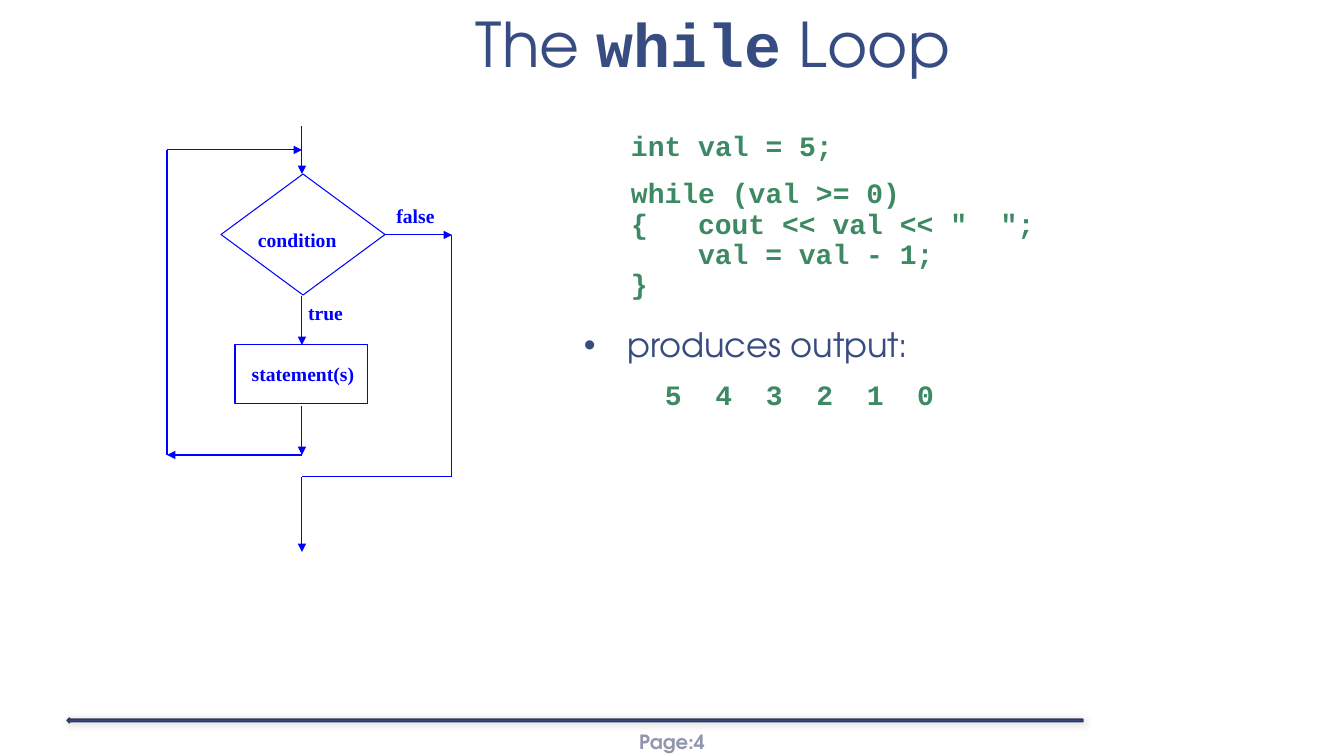
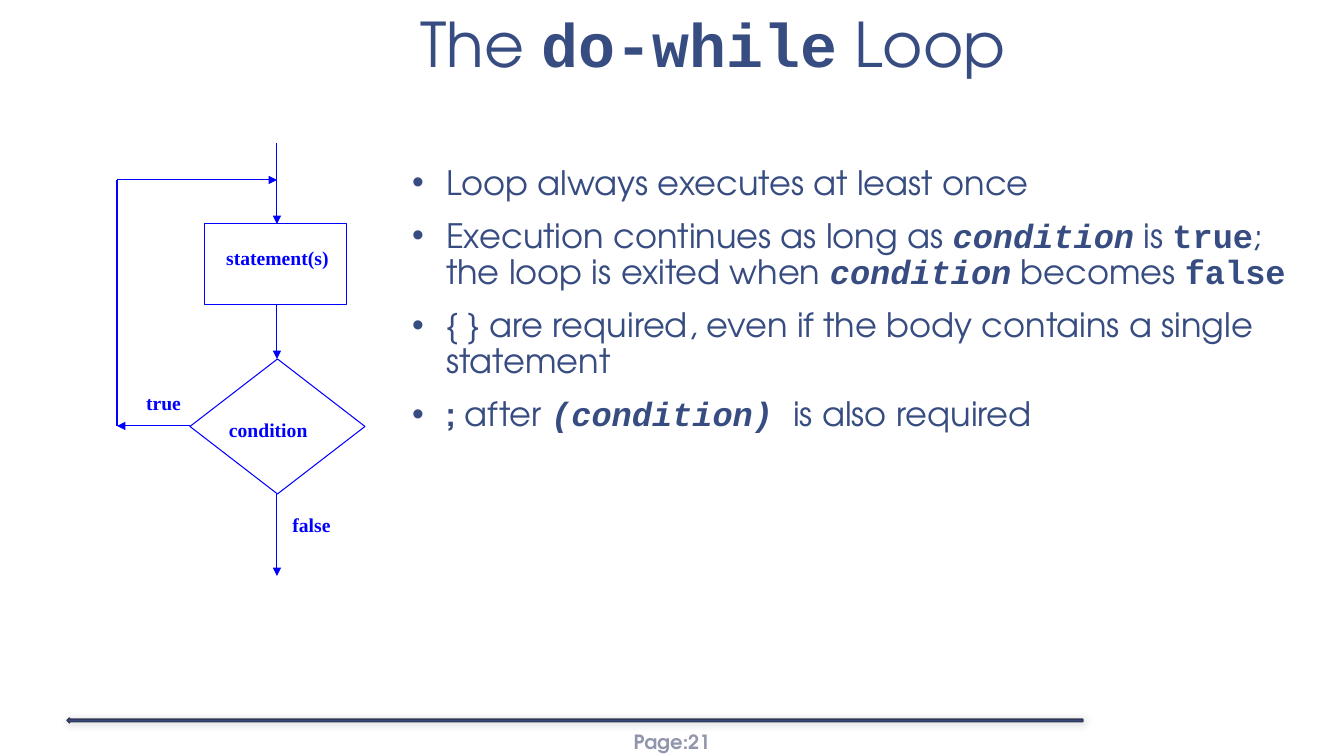
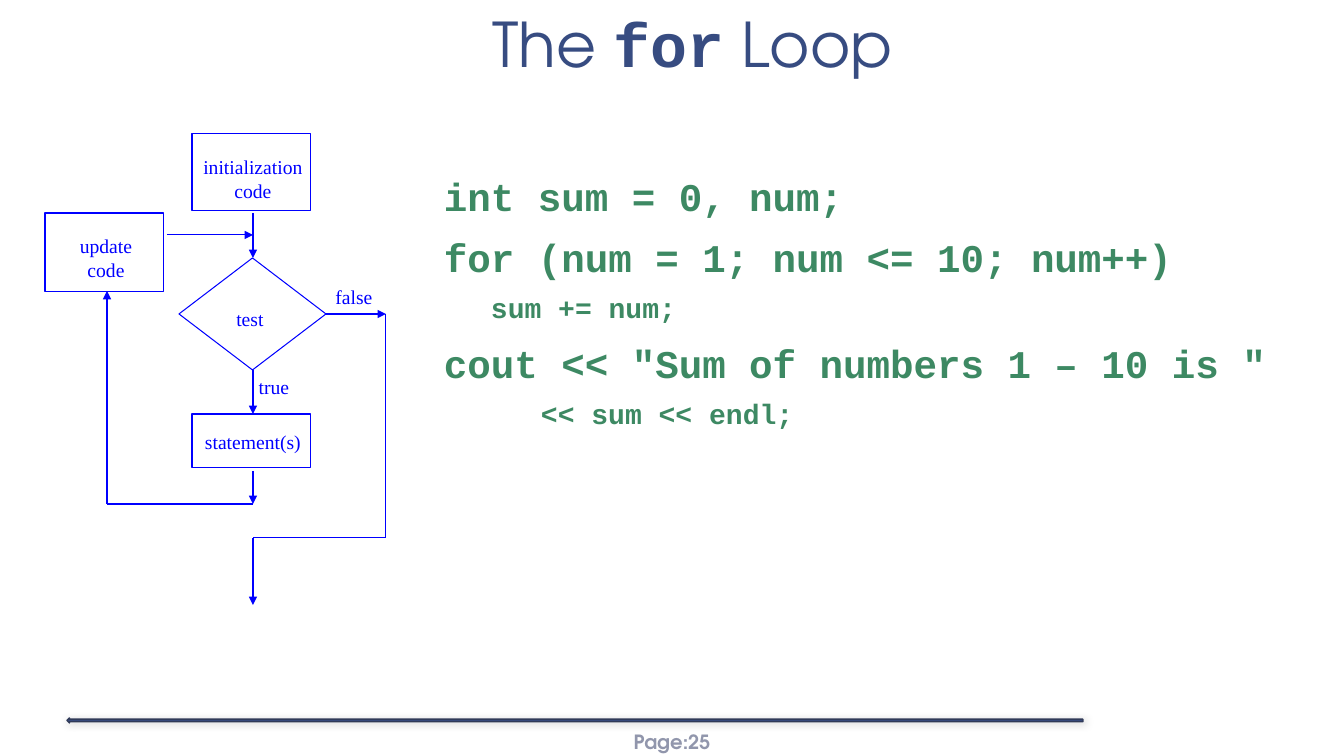
from dataclasses import dataclass

from lxml import etree
from pptx import Presentation
from pptx.dml.color import RGBColor
from pptx.enum.shapes import MSO_CONNECTOR, MSO_SHAPE
from pptx.enum.text import MSO_ANCHOR, PP_ALIGN
from pptx.oxml.ns import qn
from pptx.util import Pt

SCALE = 914400 / 100.8
WIDE, HIGH = 1344, 756
LINE = MSO_CONNECTOR.STRAIGHT
RECT, TEST, BAR = MSO_SHAPE.RECTANGLE, MSO_SHAPE.FLOWCHART_DECISION, MSO_SHAPE.LEFT_ARROW
LEFT, MID = PP_ALIGN.LEFT, PP_ALIGN.CENTER
TOP, CENTER, BOTTOM = MSO_ANCHOR.TOP, MSO_ANCHOR.MIDDLE, MSO_ANCHOR.BOTTOM

COLORS = {"navy": "374C81", "edge": "303A58", "page": "9196AC",
          "blue": "0000FF", "code": "3D8963", "shade": "000000"}
SANS, MONO, SERIF = "TeX Gyre Adventor", "Courier New", "Times New Roman"
# font, colour, bold, italic
STYLES = {"plain": (SANS, "navy", False, False),
          "strong": (SANS, "navy", True, False),
          "word": (MONO, "navy", True, False),
          "term": (MONO, "navy", True, True),
          "code": (MONO, "code", True, False),
          "page": (SANS, "page", True, False),
          "label": (SERIF, "blue", False, False),
          "bold": (SERIF, "blue", True, False)}


@dataclass
class Para:
    """One paragraph; left and first are indents in px, before is in points."""
    runs: list
    size: int
    align: object = LEFT
    left: int = 0
    first: int = 0
    space: float = 1.0
    before: float = 0
    dot: bool = False


def px(n):
    return round(n * SCALE)


def rgb(name):
    return RGBColor.from_string(COLORS[name])


def code(text, size=20, left=47, first=0, space=0.95, before=10.7):
    return Para([(text, "code")], size, LEFT, left, first, space, before)


def item(runs, space=0.9, before=12):
    return Para(runs, 24, LEFT, 34, -34, space, before, True)


class Deck:
    def __init__(self):
        self.prs = Presentation()
        self.prs.slide_width, self.prs.slide_height = px(WIDE), px(HIGH)
        self.slide = None

    def start(self, word, page, left=41):
        """Open a slide with its title, bottom bar and page number."""
        self.slide = self.prs.slides.add_slide(self.prs.slide_layouts[6])
        self.text((583, 722, 178, 40), [Para([(f"Page:{page}", "page")], 14, MID)],
                  CENTER, (4, 2))
        self.bar()
        runs = [("The ", "plain"), (word, "word"), (" Loop", "plain")]
        self.text((left, 0, 1385 - left, 87), [Para(runs, 44, MID, space=0.85)],
                  BOTTOM, (13, 7))

    def text(self, box, paras, anchor=TOP, inset=(10, 5)):
        frame = self.slide.shapes.add_textbox(*map(px, box)).text_frame
        frame.word_wrap = True
        frame.vertical_anchor = anchor
        frame.margin_left = frame.margin_right = px(inset[0])
        frame.margin_top = frame.margin_bottom = px(inset[1])
        for i, para in enumerate(paras):
            self.fill(frame.add_paragraph() if i else frame.paragraphs[0], para)

    def fill(self, p, para):
        """Set the format of a paragraph and add its runs."""
        p.alignment = para.align
        p.line_spacing = para.space
        p.space_before = Pt(para.before)
        props = p._p.get_or_add_pPr()
        props.set("marL", str(px(para.left)))
        props.set("indent", str(px(para.first)))
        if para.dot:
            etree.SubElement(props, qn("a:buFont"), typeface="Arial")
            etree.SubElement(props, qn("a:buChar"), char="•")
        for words, style in para.runs:
            run = p.add_run()
            run.text = words
            font = run.font
            font.name, color, font.bold, font.italic = STYLES[style]
            font.size = Pt(para.size)
            font.color.rgb = rgb(color)

    def label(self, words, box, style="bold", align=MID):
        self.text(box, [Para([(line, style)], 14, align) for line in words.split("\n")])

    def shape(self, kind, box, line="blue", width=0.75):
        shape = self.slide.shapes.add_shape(kind, *map(px, box))
        shape.shadow.inherit = False
        shape.fill.background()
        shape.line.color.rgb = rgb(line)
        shape.line.width = Pt(width)
        return shape

    def bar(self):
        bar = self.shape(BAR, (67, 718, 1016, 5), "edge", 1)
        bar.fill.solid()
        bar.fill.fore_color.rgb = rgb("navy")
        glow = etree.SubElement(bar._element.spPr.find(qn("a:effectLst")), qn("a:outerShdw"),
                                blurRad=str(Pt(6)), dist=str(Pt(1)), dir="2700000")
        tint = etree.SubElement(glow, qn("a:srgbClr"), val=COLORS["shade"])
        etree.SubElement(tint, qn("a:alpha"), val="20000")

    def route(self, *points):
        """Join the points by lines; the last one ends in an arrowhead."""
        for a, b in zip(points, points[1:]):
            line = self.slide.shapes.add_connector(LINE, *map(px, a + b))
            line.line.color.rgb = rgb("blue")
            line.line.width = Pt(0.75)
            if b == points[-1]:
                etree.SubElement(line.line._get_or_add_ln(), qn("a:tailEnd"), type="triangle")
            etree.SubElement(line._element.spPr, qn("a:effectLst"))


def while_loop(deck):
    deck.start("while", 4)
    mid, back, out = 302, 167, 452
    deck.shape(TEST, (221, 174, 164, 121))
    deck.shape(RECT, (235, 345, 133, 59))
    deck.label("condition", (248, 223, 103, 42), align=LEFT)
    deck.label("true", (280, 296, 91, 42))
    deck.label("false", (370, 199, 91, 42))
    deck.label("statement(s)", (235, 357, 136, 36))
    deck.route((mid, 126), (mid, 174))
    deck.route((mid, 296), (mid, 345))
    deck.route((mid, 406), (mid, 455))
    deck.route((mid, 455), (back, 455))
    deck.route((back, 455), (back, 150), (mid, 150))
    deck.route((384, 235), (out, 235))
    deck.route((out, 235), (out, 477), (mid, 477), (mid, 552))
    deck.text((574, 126, 525, 525), [
        code("int val = 5;"),
        code("while (val >= 0)"),
        code("{\tcout << val << \"  \";", left=114, first=-67, space=0.9, before=0),
        code("val = val - 1;", left=114, space=0.9, before=0),
        code("}", space=0.9, before=0),
        item([(" produces output:", "plain")], 0.95, 18.7),
        code("5  4  3  2  1  0", left=81)])


def do_loop(deck):
    deck.start("do-while", 21)
    mid, back = 277, 117
    deck.shape(RECT, (205, 224, 142, 81))
    deck.shape(TEST, (190, 359, 175, 135))
    deck.label("statement(s)", (205, 241, 145, 50))
    deck.label("condition", (219, 413, 110, 46), align=LEFT)
    deck.label("true", (122, 386, 83, 46))
    deck.label("false", (263, 508, 97, 46))
    deck.route((mid, 143), (mid, 224))
    deck.route((mid, 305), (mid, 359))
    deck.route((mid, 494), (mid, 576))
    deck.route((190, 426), (back, 426))
    deck.route((back, 426), (back, 180), (mid, 180))
    deck.text((402, 161, 899, 454), [
        item([("Loop always executes at least once", "plain")], before=0),
        item([("Execution continues as long as ", "plain"), ("condition", "term"),
              (" is ", "plain"), ("true", "word"),
              ("; the loop is exited when ", "plain"), ("condition", "term"),
              (" becomes ", "plain"), ("false", "word")]),
        item([("{ } are required, even if the body contains a single statement", "plain")]),
        item([(";", "strong"), (" after ", "plain"), ("(condition) ", "term"),
              ("is also required", "plain")])])


def for_loop(deck):
    deck.start("for", 25, 0)
    mid, back, out = 253, 107, 386
    for box in ((192, 134, 119, 77), (45, 213, 119, 79), (192, 414, 119, 54)):
        deck.shape(RECT, box)
    deck.shape(TEST, (179, 258, 147, 112))
    for words, box in (("initialization code", (192, 150, 122, 47)),
                       ("update\ncode", (45, 229, 122, 48)),
                       ("test", (204, 302, 92, 38)),
                       ("false", (313, 280, 82, 39)),
                       ("true", (233, 370, 82, 39)),
                       ("statement(s)", (192, 425, 122, 34))):
        deck.label(words, box, "label")
    deck.route((mid, 213), (mid, 258))
    deck.route((167, 235), (mid, 235))
    deck.route((mid, 370), (mid, 414))
    deck.route((mid, 471), (mid, 504))
    deck.route((mid, 504), (back, 504), (back, 291))
    deck.route((326, 314), (out, 314))
    deck.route((out, 314), (out, 538), (mid, 538), (mid, 605))
    deck.text((434, 174, 867, 345), [
        code("int sum = 0, num;", 28, 34, -34, 0.85, 18.7),
        code("for (num = 1; num <= 10; num++)", 28, 34, -34, 0.9, 14),
        code("sum += num;", space=0.85),
        code("cout << \"Sum of numbers 1 – 10 is \"", 28, 34, -34, 0.9, 14),
        code("<< sum << endl;", left=97, space=0.85)])


def main():
    deck = Deck()
    for build in (while_loop, do_loop, for_loop):
        build(deck)
    deck.prs.save("out.pptx")


if __name__ == "__main__":
    main()
